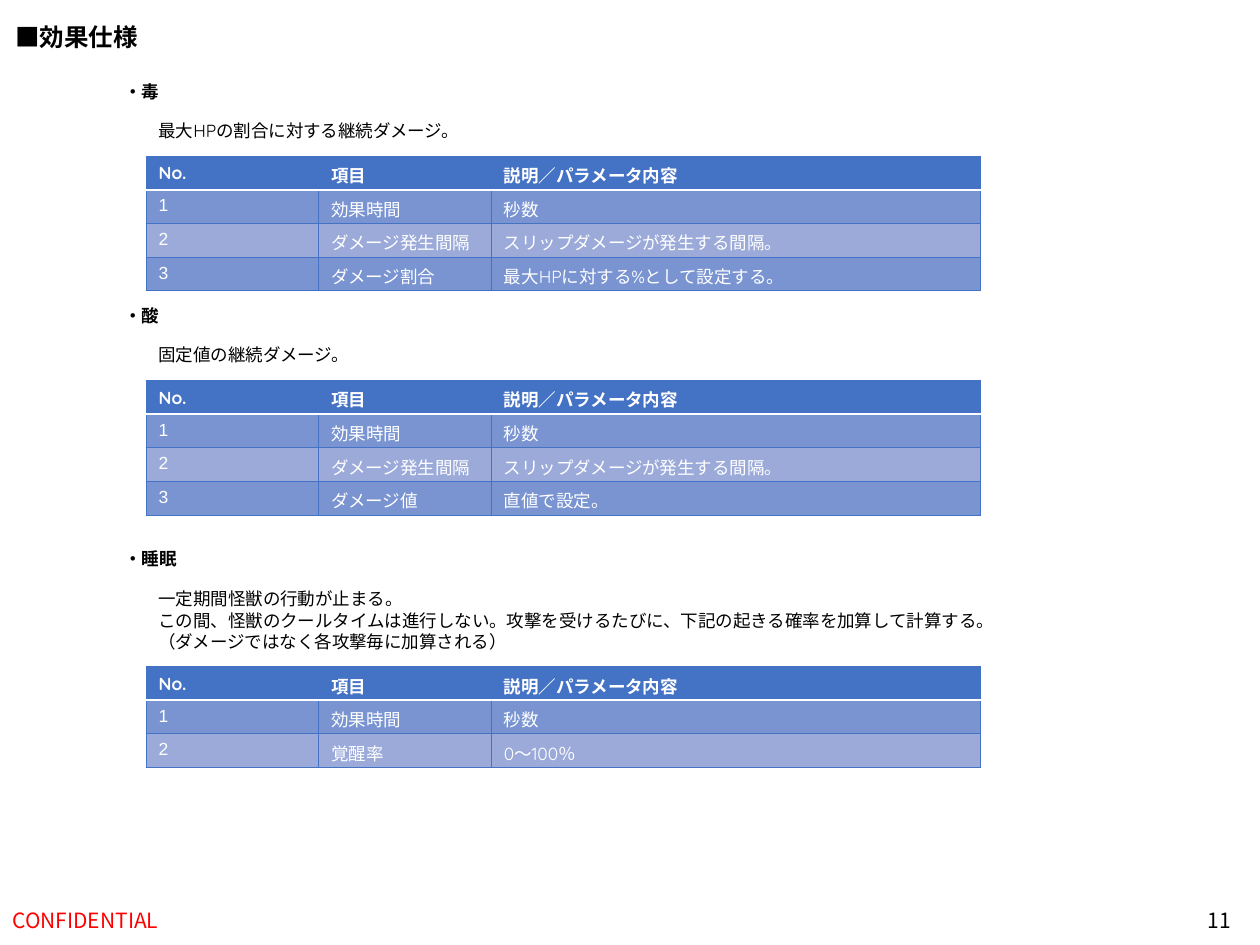
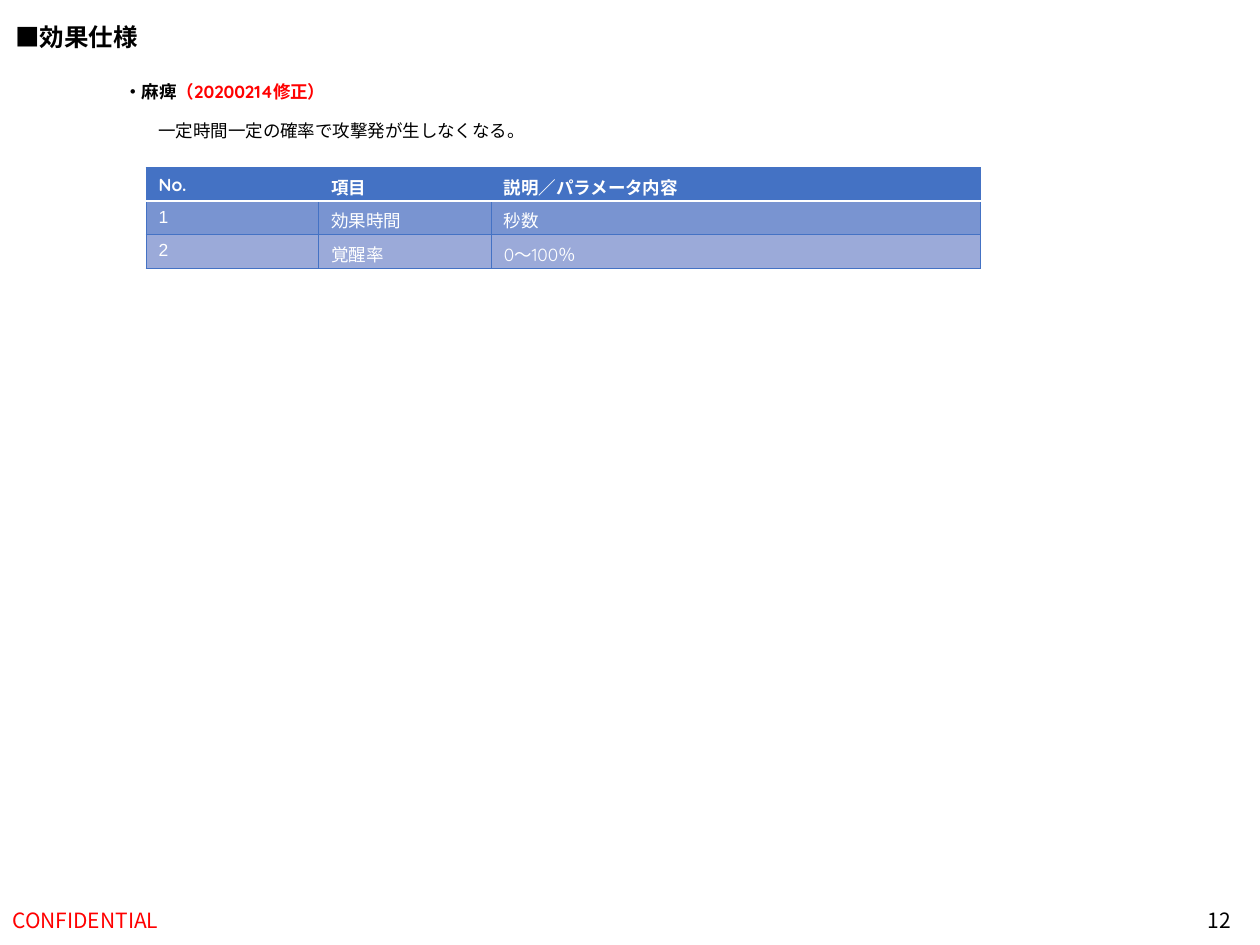
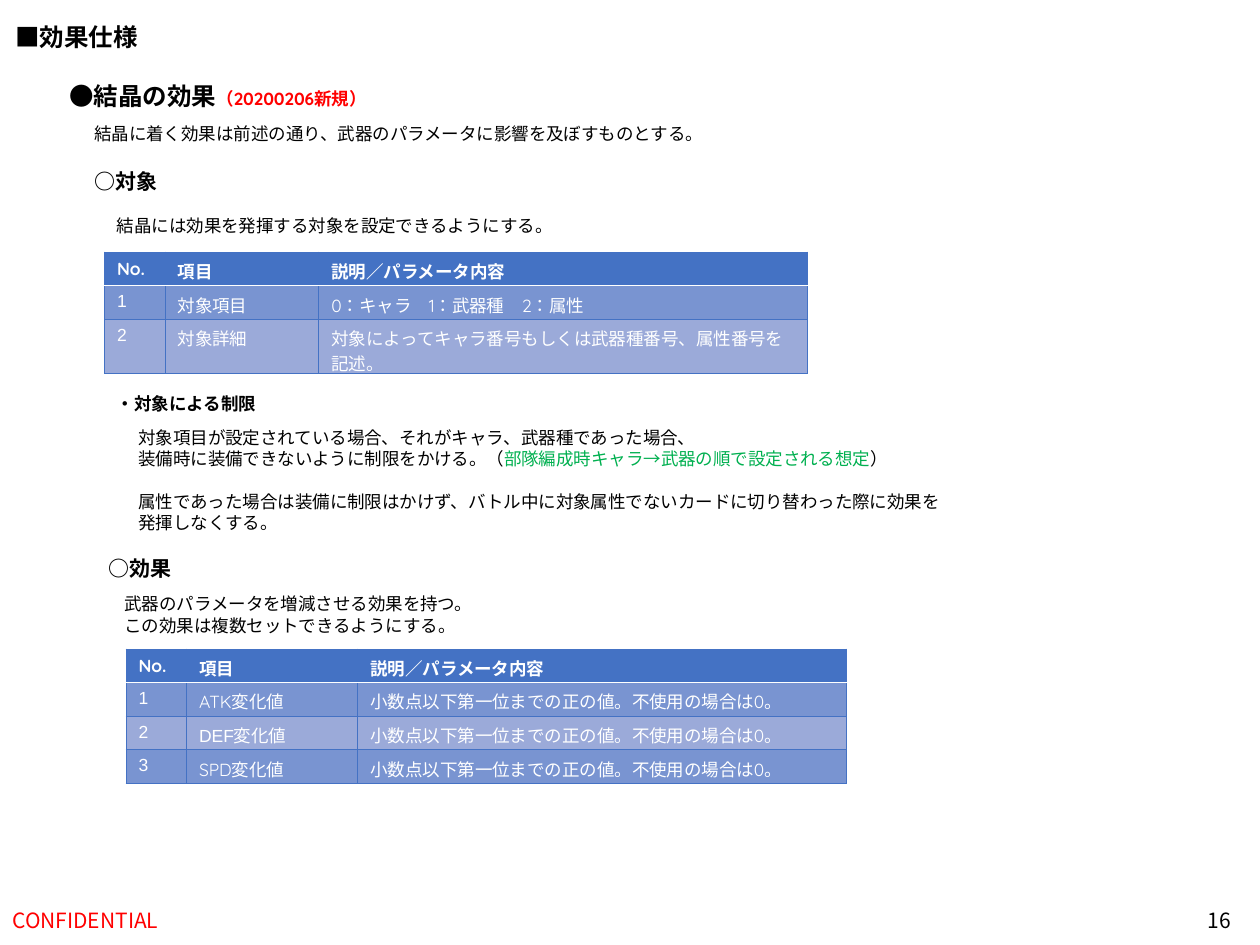
from dataclasses import dataclass
from typing import Optional

from lxml.etree import SubElement
from pptx import Presentation
from pptx.dml.color import RGBColor
from pptx.enum.text import MSO_ANCHOR, MSO_AUTO_SIZE, PP_ALIGN
from pptx.oxml.ns import qn
from pptx.util import Inches, Pt

QUICKSAND, ARIAL, NOTO = "Quicksand", "Arial", "Noto Sans CJK JP"
BLACK, WHITE, RED, GREEN = "000000", "FFFFFF", "FF0000", "00B050"
BLUE, BAND_DARK, BAND_LIGHT = "4472C4", "7994D1", "9BAAD9"
TITLE = "■効果仕様"
HEADINGS = ("No.", "項目", "説明／パラメータ内容")
LINE_HEIGHT = 1.21
ROW_HEIGHT = 0.267


@dataclass
class Span:
    """A piece of text that may differ from its paragraph."""
    text: str
    color: Optional[str] = None
    size: Optional[float] = None


@dataclass
class Note:
    """A heading or description with one entry per line."""
    left: float
    top: float
    width: float
    lines: list
    size: float = 10
    bold: bool = False
    font: str = QUICKSAND
    gap_before: Optional[int] = None


@dataclass
class Grid:
    """A numbered parameter table."""
    left: float
    top: float
    rows: list
    widths: tuple = (1.37, 1.37, 3.88)
    item_fonts: tuple = (ARIAL, ARIAL, ARIAL)
    last_height: float = ROW_HEIGHT


@dataclass
class Page:
    """The number and contents of one slide."""
    number: int
    notes: list
    grids: list


def rgb(value: str) -> RGBColor:
    """Turn a hex string into a colour."""
    return RGBColor.from_string(value)


def write(para, text: str, *, size: float = 10, font: str = QUICKSAND,
          color: str = BLACK, bold: bool = False) -> None:
    """Add formatted text to a paragraph."""
    run = para.add_run()
    run.text = text
    run.font.size = Pt(size)
    run.font.bold = bold
    run.font.color.rgb = rgb(color)
    run.font.name = font
    properties = run._r.get_or_add_rPr()
    properties.set("lang", "ja-JP")
    SubElement(properties, qn("a:ea")).set("typeface", NOTO)


def place(shape, left: float, top: float, width: float, height: float) -> None:
    """Position a shape in inches."""
    shape.left, shape.top = Inches(left), Inches(top)
    shape.width, shape.height = Inches(width), Inches(height)


def fill_note(shape, note: Note) -> None:
    """Place a shape and write the lines of a note in it."""
    height = 0.1 + 0.017 * note.size * len(note.lines)
    if note.gap_before is not None:
        height += 0.017 * note.size
    place(shape, note.left, note.top, note.width, height)
    frame = shape.text_frame
    frame.word_wrap = False
    frame.auto_size = MSO_AUTO_SIZE.SHAPE_TO_FIT_TEXT
    frame.vertical_anchor = MSO_ANCHOR.TOP
    for index, line in enumerate(note.lines):
        para = frame.add_paragraph() if index else frame.paragraphs[0]
        para.alignment = PP_ALIGN.LEFT
        para.line_spacing = Pt(note.size * LINE_HEIGHT)
        para.space_before = Pt(note.size * LINE_HEIGHT if index == note.gap_before else 0)
        for span in [Span(line)] if isinstance(line, str) else line:
            write(para, span.text, size=span.size or note.size, font=note.font,
                  color=span.color or BLACK, bold=note.bold)


def add_note(slide, note: Note) -> None:
    """Add a note as a text box."""
    fill_note(slide.shapes.add_textbox(0, 0, 0, 0), note)


def set_border(cell, side: str, color: str, width: float) -> None:
    """Draw one side of a cell."""
    line = SubElement(cell._tc.get_or_add_tcPr(), qn(f"a:ln{side}"), w=str(Pt(width)))
    SubElement(SubElement(line, qn("a:solidFill")), qn("a:srgbClr"), val=color)


def format_cell(cell, row: int) -> None:
    """Set the margins, borders and band colour of a cell."""
    cell.margin_bottom = 0
    white_sides = {0: "B", 1: "T"}
    for side in "LRTB":
        if white_sides.get(row) == side:
            set_border(cell, side, WHITE, 1)
        else:
            set_border(cell, side, BLUE, 0.5)
    cell.fill.solid()
    band = BAND_DARK if row % 2 else BAND_LIGHT
    cell.fill.fore_color.rgb = rgb(band if row else BLUE)


def add_grid(slide, grid: Grid) -> None:
    """Add a numbered table with its heading row."""
    rows = [HEADINGS] + [(str(number), *row) for number, row in enumerate(grid.rows, 1)]
    heights = [ROW_HEIGHT] * len(grid.rows) + [grid.last_height]
    table = slide.shapes.add_table(
        len(rows), len(HEADINGS), Inches(grid.left), Inches(grid.top),
        Inches(sum(grid.widths)), Inches(sum(heights))).table
    for column, width in zip(table.columns, grid.widths):
        column.width = Inches(width)
    for row, (texts, height) in enumerate(zip(rows, heights)):
        table.rows[row].height = Inches(height)
        fonts = (ARIAL, grid.item_fonts[row - 1], QUICKSAND) if row else (QUICKSAND,) * 3
        for column, (text, font) in enumerate(zip(texts, fonts)):
            cell = table.cell(row, column)
            format_cell(cell, row)
            write(cell.text_frame.paragraphs[0], text, font=font, color=WHITE, bold=row == 0)


def add_footer(slide, text: str, left: float, width: float, color: str, align) -> None:
    """Add one footer text at the bottom edge."""
    box = slide.shapes.add_textbox(0, 0, 0, 0)
    place(box, left, 7.1, width, 0.4)
    box.text_frame.word_wrap = True
    box.text_frame.vertical_anchor = MSO_ANCHOR.MIDDLE
    para = box.text_frame.paragraphs[0]
    para.alignment = align
    write(para, text, size=12, font=NOTO, color=color)


def add_page(deck, page: Page) -> None:
    """Add a slide with its title, footers, notes and tables."""
    slide = deck.slides.add_slide(deck.slide_layouts[5])
    fill_note(slide.shapes.title, Note(0.02, 0.12, 1.25, [TITLE], 14, True, ARIAL))
    add_footer(slide, "CONFIDENTIAL", 0, 3.38, RED, PP_ALIGN.LEFT)
    add_footer(slide, str(page.number), 7.62, 2.25, BLACK, PP_ALIGN.RIGHT)
    for note in page.notes:
        add_note(slide, note)
    for grid in page.grids:
        add_grid(slide, grid)


DURATION = ("効果時間", "秒数")
INTERVAL = ("ダメージ発生間隔", "スリップダメージが発生する間隔。")
WAKE_RATE = ("覚醒率", "0～100％")
CHANGE = "小数点以下第一位までの正の値。不使用の場合は0。"

PAGES = [
    Page(11, [
        Note(0.89, 0.59, 0.55, ["・毒"], bold=True),
        Note(1.16, 0.9, 2.7, ["最大HPの割合に対する継続ダメージ。"]),
        Note(0.89, 2.37, 0.55, ["・酸"], bold=True),
        Note(1.16, 2.68, 1.8, ["固定値の継続ダメージ。"]),
        Note(0.89, 4.3, 0.7, ["・睡眠"], bold=True),
        Note(1.16, 4.62, 7, [
            "一定期間怪獣の行動が止まる。",
            "この間、怪獣のクールタイムは進行しない。攻撃を受けるたびに、下記の起きる確率を加算して計算する。",
            "（ダメージではなく各攻撃毎に加算される）"]),
    ], [
        Grid(1.16, 1.24, [DURATION, INTERVAL,
                          ("ダメージ割合", "最大HPに対する%として設定する。")]),
        Grid(1.16, 3.02, [DURATION, INTERVAL, ("ダメージ値", "直値で設定。")]),
        Grid(1.16, 5.29, [DURATION, WAKE_RATE]),
    ]),
    Page(12, [
        Note(0.89, 0.59, 2.1, [[Span("・麻痺"), Span("（20200214修正）", RED)]], bold=True),
        Note(1.16, 0.9, 3.2, ["一定時間一定の確率で攻撃発が生しなくなる。"]),
    ], [Grid(1.16, 1.33, [DURATION, WAKE_RATE])]),
    Page(16, [
        Note(0.45, 0.59, 2.8, [[Span("●結晶の効果"), Span("（20200206新規）", RED, 10)]],
             14, True),
        Note(0.65, 0.93, 5.2, ["結晶に着く効果は前述の通り、武器のパラメータに影響を及ぼすものとする。"]),
        Note(0.65, 1.29, 0.8, ["○対象"], 12, True),
        Note(0.83, 1.66, 3.8, ["結晶には効果を発揮する対象を設定できるようにする。"], font=ARIAL),
        Note(0.83, 3.07, 1.4, ["・対象による制限"], bold=True),
        Note(1, 3.34, 6.7, [
            "対象項目が設定されている場合、それがキャラ、武器種であった場合、",
            [Span("装備時に装備できないように制限をかける。（"),
             Span("部隊編成時キャラ→武器の順で設定される想定", GREEN), Span("）")],
            "属性であった場合は装備に制限はかけず、バトル中に対象属性でないカードに切り替わった際に効果を",
            "発揮しなくする。"], font=ARIAL, gap_before=2),
        Note(0.76, 4.36, 0.8, ["○効果"], 12, True),
        Note(0.89, 4.66, 3.1, ["武器のパラメータを増減させる効果を持つ。",
                               "この効果は複数セットできるようにする。"], font=ARIAL),
    ], [
        Grid(0.83, 2, [
            ("対象項目", "0：キャラ　1：武器種　2：属性"),
            ("対象詳細", "対象によってキャラ番号もしくは武器種番号、属性番号を記述。"),
        ], (0.48, 1.22, 3.88), (QUICKSAND, ARIAL), 0.43),
        Grid(1, 5.15, [(f"{name}変化値", CHANGE) for name in ("ATK", "DEF", "SPD")],
             (0.48, 1.36, 3.88), (QUICKSAND, ARIAL, QUICKSAND)),
    ]),
]


def main() -> None:
    """Build and save the deck."""
    deck = Presentation()
    deck.slide_width, deck.slide_height = Inches(10), Inches(7.5)
    for page in PAGES:
        add_page(deck, page)
    deck.save("out.pptx")


main()
